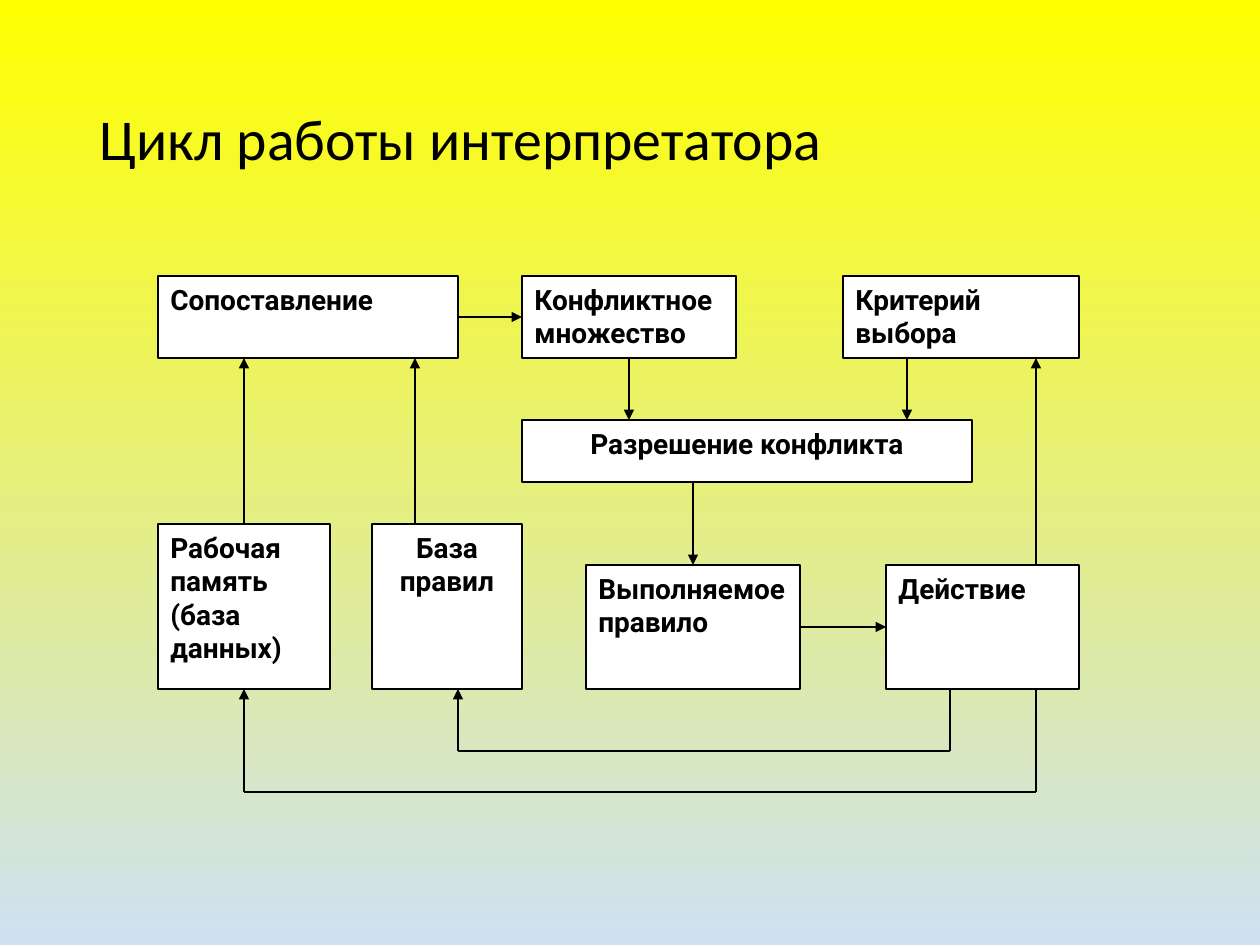
from itertools import pairwise

from pptx import Presentation
from pptx.dml.color import RGBColor
from pptx.enum.shapes import MSO_CONNECTOR as Link, MSO_SHAPE as Shape
from pptx.enum.text import MSO_ANCHOR as Anchor, MSO_AUTO_SIZE as Fit, PP_ALIGN as Align
from pptx.oxml.ns import qn
from pptx.util import Pt
from lxml.etree import SubElement

BLACK, WHITE = "000000", "FFFFFF"


def px(n):
    return round(n * 914400 / 126)


def rgb(code):
    return RGBColor.from_string(code)


class Chart:
    head, body = "Calibri", "Roboto"

    def __init__(self, deck):
        self.slide = deck.slides.add_slide(deck.slide_layouts[5])
        self.group = self.slide.shapes.add_group_shape().shapes

    def back(self, top, low):
        fill = self.slide.background.fill
        fill.gradient()
        fill.gradient_angle = 270
        for stop, code in zip(fill.gradient_stops, (top, low)):
            stop.color.rgb = rgb(code)

    def font(self, para, name, size, bold):
        font = para.font
        font.name, font.size, font.bold = name, Pt(size), bold
        font.color.rgb = rgb(BLACK)

    def title(self, text, x, y, w, h):
        title = self.slide.shapes.title
        title.left, title.top, title.width, title.height = map(px, (x, y, w, h))
        frame = title.text_frame
        frame.text = text
        frame.auto_size = Fit.NONE
        frame.vertical_anchor = Anchor.MIDDLE
        para = frame.paragraphs[0]
        para.alignment, para.line_spacing = Align.LEFT, 0.9
        self.font(para, self.head, 33, False)

    def box(self, text, x, y, w, h, align=Align.LEFT):
        box = self.group.add_shape(Shape.RECTANGLE, *map(px, (x, y, w, h)))
        box.shadow.inherit = False
        box.fill.solid()
        box.fill.fore_color.rgb = rgb(WHITE)
        box.line.color.rgb = rgb(BLACK)
        box.line.width = Pt(0.75)
        frame = box.text_frame
        frame.word_wrap = True
        frame.vertical_anchor = Anchor.TOP
        frame.text = text
        for para in frame.paragraphs:
            para.alignment = align
            self.font(para, self.body, 16, True)

    def line(self, start, end, arrow):
        line = self.group.add_connector(Link.STRAIGHT, *map(px, start + end))
        line.line.color.rgb = rgb(BLACK)
        line.line.width = Pt(0.75)
        if arrow:
            SubElement(line.line._get_or_add_ln(), qn("a:tailEnd"), type="triangle")
        SubElement(line._element.spPr, qn("a:effectLst"))

    def route(self, *points):
        for start, end in pairwise(points):
            self.line(start, end, end == points[-1])


def main():
    deck = Presentation()
    deck.slide_width, deck.slide_height = px(1260), px(945)
    chart = Chart(deck)
    chart.back("FFFF00", "CEE1F2")
    chart.title("Цикл работы интерпретатора", 87, 50, 1087, 183)

    top, low, base = 276, 358, 689
    for text, x, w in (
        ("Сопоставление", 158, 300),
        ("Конфликтное множество", 522, 214),
        ("Критерий выбора", 843, 236),
    ):
        chart.box(text, x, top, w, low - top)
    chart.box("Разрешение конфликта", 522, 420, 450, 62, Align.CENTER)
    for text, x, y, w, align in (
        ("Рабочая память\n(база данных)", 158, 524, 172, Align.LEFT),
        ("База правил", 372, 524, 150, Align.CENTER),
        ("Выполняемое правило", 586, 565, 214, Align.LEFT),
        ("Действие", 886, 565, 193, Align.LEFT),
    ):
        chart.box(text, x, y, w, base - y, align)

    for x, y, end in (
        (244, 524, low),
        (415, 524, low),
        (1036, 565, low),
        (629, low, 420),
        (907, low, 420),
        (693, 482, 565),
    ):
        chart.route((x, y), (x, end))
    chart.route((458, 317), (522, 317))
    chart.route((800, 627), (886, 627))
    for x, end, y in ((950, 458, 751), (1036, 244, 792)):
        chart.route((x, base), (x, y), (end, y), (end, base))
    deck.save("out.pptx")


if __name__ == "__main__":
    main()
